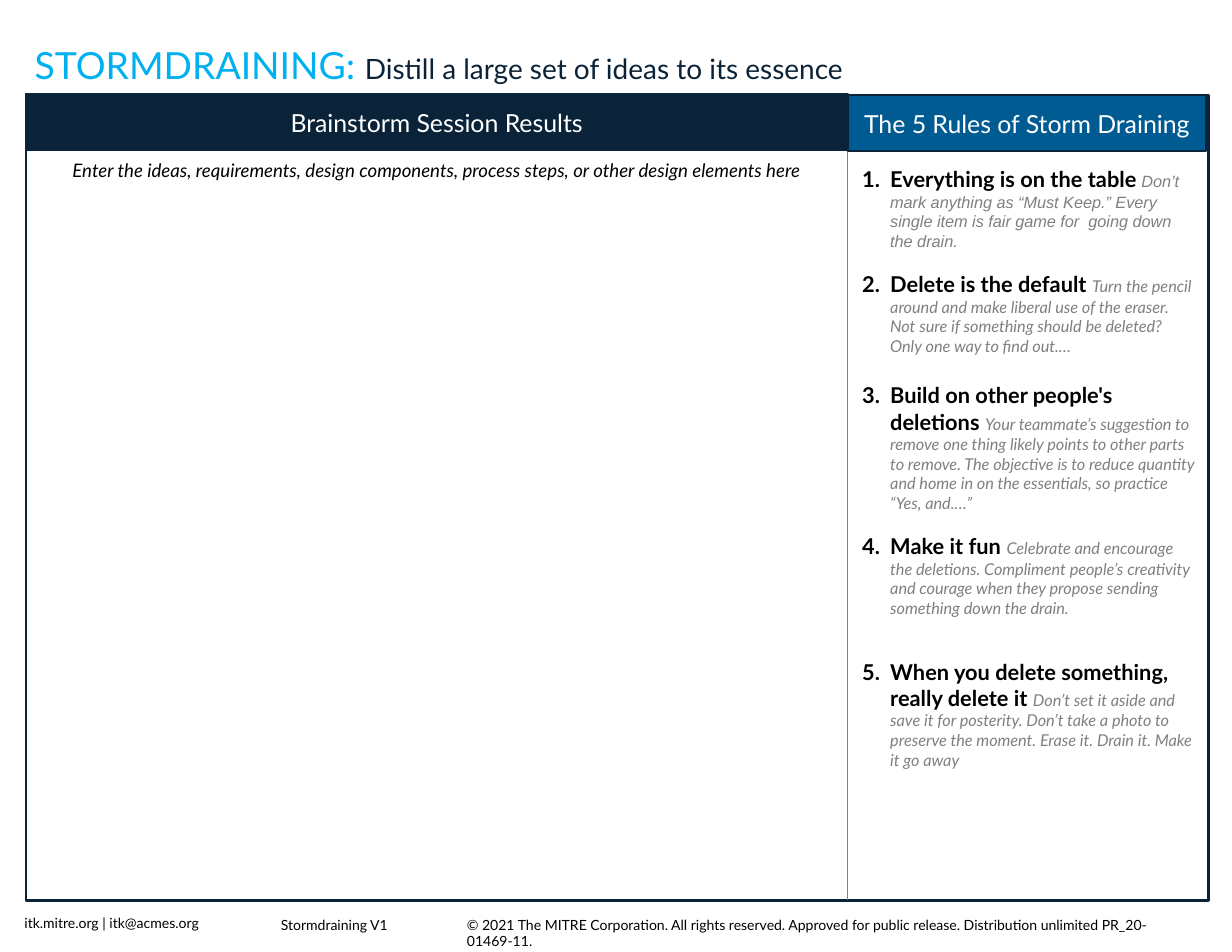
from pptx import Presentation
from pptx.dml.color import RGBColor
from pptx.enum.shapes import MSO_CONNECTOR, MSO_SHAPE
from pptx.enum.text import MSO_ANCHOR, MSO_AUTO_SIZE, PP_ALIGN
from pptx.oxml.ns import qn
from pptx.util import Inches, Pt

RECT, LINE = MSO_SHAPE.RECTANGLE, MSO_CONNECTOR.STRAIGHT
LEFT, CENTER = PP_ALIGN.LEFT, PP_ALIGN.CENTER
TOP, MIDDLE = MSO_ANCHOR.TOP, MSO_ANCHOR.MIDDLE
NO_FIT = MSO_AUTO_SIZE.NONE

NAVY = RGBColor(0x0B, 0x23, 0x38)
BLUE = RGBColor(0x00, 0x5B, 0x93)
CYAN = RGBColor(0x00, 0xB0, 0xF0)
RULE_GRAY = RGBColor(0x7E, 0x82, 0x84)
TEXT_GRAY = RGBColor(0x80, 0x80, 0x80)
BLACK = RGBColor(0, 0, 0)
WHITE = RGBColor(0xFF, 0xFF, 0xFF)
FONT = "Lato"

# Content
TITLE = [("STORMDRAINING: ", 24, CYAN),
         ("Distill a large set of ideas to its essence", 18, NAVY)]
RESULTS_HEAD = "Brainstorm Session Results"
RULES_HEAD = "The 5 Rules of Storm Draining"
PROMPT = ("Enter the ideas, requirements, design components, process steps, "
          "or other design elements here")
# rule, explanation, explanation font, space before in points
RULES = [
    ("Everything is on the table",
     " Don’t mark anything as “Must Keep.” Every single item is fair game for  "
     "going down the drain.", "Arial", 0),
    ("Delete is the default ",
     "Turn the pencil around and make liberal use of the eraser. Not sure if "
     "something should be deleted? Only one way to find out.…", FONT, 13),
    ("Build on other people's deletions ",
     "Your teammate’s suggestion to remove one thing likely points to other parts "
     "to remove. The objective is to reduce quantity and home in on the "
     "essentials, so practice “Yes, and.…”", FONT, 17),
    ("Make it fun ",
     "Celebrate and encourage the deletions. Compliment people’s creativity and "
     "courage when they propose sending something down the drain.", FONT, 13),
    ("When you delete something, really delete it ",
     "Don’t set it aside and save it for posterity. Don’t take a photo to preserve "
     "the moment. Erase it. Drain it. Make it go away", FONT, 26),
]
# text, left, top, width, alignment
FOOTERS = [
    ("itk.mitre.org | itk@acmes.org", 0.12, 8.12, 1.8, LEFT),
    ("Stormdraining V1", 2.4, 8.13, 1.17, CENTER),
    ("© 2021 The MITRE Corporation. All rights reserved. Approved for public "
     "release. Distribution unlimited PR_20-01469-11.", 4.07, 8.13, 6.38, LEFT),
]

# Frame: two columns under one header row
X, Y, W, H = 0.23, 0.85, 10.56, 7.19
SPLIT, HEAD_H = 7.57, 0.5
RIGHT = X + W

prs = Presentation()
prs.slide_width, prs.slide_height = Inches(11), Inches(8.5)
s = prs.slides.add_slide(prs.slide_layouts[5])


def inches(*values):
    return [Inches(v) for v in values]


def add_run(p, text, size, color, font=FONT, bold=False, italic=False):
    r = p.add_run()
    r.text = text
    f = r.font
    f.name, f.size, f.bold, f.italic = font, Pt(size), bold, italic
    f.color.rgb = color


def add_rect(box, fill, width):
    sp = s.shapes.add_shape(RECT, *inches(*box))
    sp.shadow.inherit = False
    if fill is None:
        sp.fill.background()
    else:
        sp.fill.solid()
        sp.fill.fore_color.rgb = fill
    sp.line.color.rgb, sp.line.width = NAVY, Pt(width)
    return sp


def add_header(text, left, top, width, fill):
    tf = add_rect((left, top, width, HEAD_H), fill, 1).text_frame
    tf.vertical_anchor = MIDDLE
    tf.paragraphs[0].alignment = CENTER
    add_run(tf.paragraphs[0], text, 16, WHITE)


def add_text(box, align=LEFT):
    tf = s.shapes.add_textbox(*inches(*box)).text_frame
    tf.word_wrap = True
    tf.paragraphs[0].alignment = align
    return tf


def number(p, indent):
    pPr = p._p.get_or_add_pPr()
    pPr.set("marL", str(Inches(indent)))
    pPr.set("indent", str(-Inches(indent)))
    bullet = pPr.makeelement(qn("a:buAutoNum"), {"type": "arabicPeriod"})
    pPr.append(bullet)


# Title
title = s.shapes.title
title.left, title.top, title.width, title.height = inches(0.21, 0.33, 9.19, 0.5)
tf = title.text_frame
tf.auto_size, tf.vertical_anchor, tf.word_wrap = NO_FIT, TOP, True
tf.paragraphs[0].alignment = LEFT
for text, size, color in TITLE:
    add_run(tf.paragraphs[0], text, size, color)

# Headers, frame and divider
add_header(RESULTS_HEAD, X, Y - 0.01, SPLIT - X, NAVY)
add_rect((X, Y, W, H), None, 1.5)
divider = s.shapes.add_connector(LINE, *inches(SPLIT, Y, SPLIT, Y + H))
divider.line.color.rgb, divider.line.width = RULE_GRAY, Pt(0.75)
spPr = divider._element.spPr
spPr.append(spPr.makeelement(qn("a:effectLst"), {}))
add_header(RULES_HEAD, SPLIT, Y, RIGHT - SPLIT - 0.02, BLUE)

# Results prompt
tf = add_text((X, 1.37, SPLIT - X, 0.3), CENTER)
add_run(tf.paragraphs[0], PROMPT, 12, BLACK, italic=True)

# Numbered rules
tf = add_text((7.6, 1.43, RIGHT - 7.6, 5.87))
for i, (rule, why, font, gap) in enumerate(RULES):
    p = tf.add_paragraph() if i else tf.paragraphs[0]
    if gap:
        p.space_before = Pt(gap)
    number(p, 0.25)
    add_run(p, rule, 14, BLACK, bold=True)
    add_run(p, why, 10.5, TEXT_GRAY, font, italic=True)

# Footer
for text, left, top, width, align in FOOTERS:
    tf = add_text((left, top, width, 0.25), align)
    add_run(tf.paragraphs[0], text, 9, BLACK)

prs.save("out.pptx")
